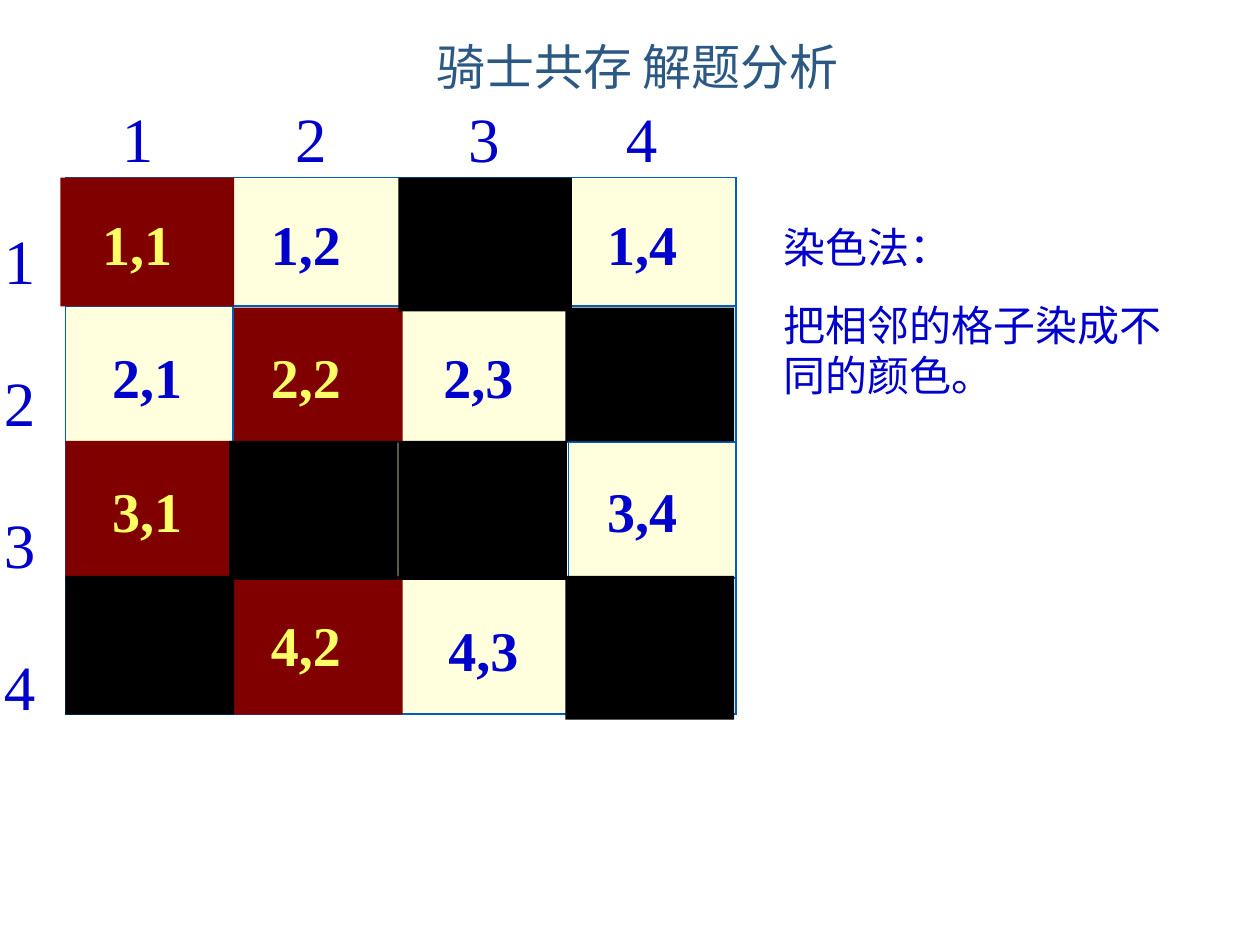
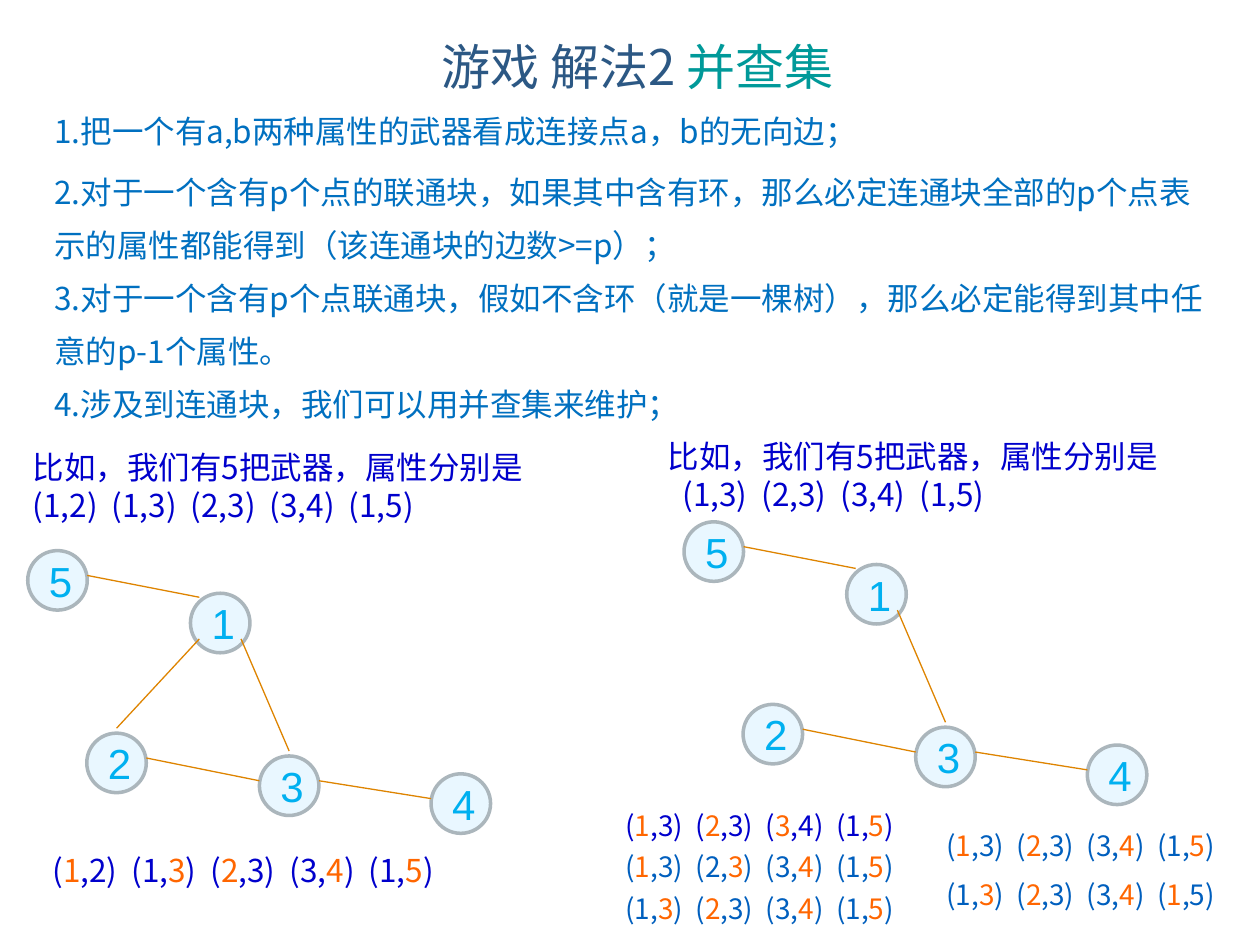
from pptx import Presentation
from pptx.dml.color import RGBColor
from pptx.enum.shapes import MSO_CONNECTOR, MSO_SHAPE
from pptx.enum.text import MSO_ANCHOR, MSO_AUTO_SIZE, PP_ALIGN
from pptx.oxml.ns import qn
from pptx.util import Cm, Pt
from lxml import etree

RECT, OVAL = MSO_SHAPE.RECTANGLE, MSO_SHAPE.OVAL
LINE = MSO_CONNECTOR.STRAIGHT
MIDDLE, TOP = MSO_ANCHOR.MIDDLE, MSO_ANCHOR.TOP
CENTER, LEFT = PP_ALIGN.CENTER, PP_ALIGN.LEFT
FIXED = MSO_AUTO_SIZE.NONE

HEX = {
    "title": "2C5884", "teal": "009999", "blue": "0000CC", "list": "0070C0",
    "navy": "005FBE", "orange": "FF6600", "yellow": "FFFF66",
    "cream": "FFFFDD", "red": "800000", "black": "000000",
    "node": "E9F7FF", "rim": "ABB6BC", "digit": "00B0F0", "edge": "DE8400",
}
SANS, SERIF = "Noto Sans CJK SC", "Times New Roman"

TITLE_BOX = (0.99, 0.25, 23.72, 2.16)

# Board: lengths are measured from its top left corner
COLS, ROWS = [3.38] * 4, [2.59, 2.74, 2.74, 2.74]
TILES = {
    "red": [(-0.1, 0, 3.5, 2.6), (3.4, 2.62, 3.4, 2.7),
            (0, 5.31, 3.4, 2.8), (3.4, 8.03, 3.4, 2.8)],
    "black": [(6.71, 0, 3.5, 2.7), (3.3, 5.31, 3.4, 2.8),
              (0, 8.03, 3.4, 2.8), (10.08, 8.03, 3.4, 2.9),
              (10.08, 2.62, 3.4, 2.7), (6.71, 5.31, 3.4, 2.8)],
}
LABELS = ["1,1", "1,2", "1,4", "2,1", "2,2", "2,3", "3,1", "3,4", "4,2", "4,3"]
LABEL_X = [0.69, 3.89, 7.37, 10.67]
NUDGE = {"1,1": (-0.2, 0), "4,3": (0.1, 0.1)}

STEPS = [
    "1.把一个有a,b两种属性的武器看成连接点a，b的无向边；",
    "2.对于一个含有p个点的联通块，如果其中含有环，那么必定连通块全部的p个点"
    "表示的属性都能得到（该连通块的边数>=p）；",
    "3.对于一个含有p个点联通块，假如不含环（就是一棵树），那么必定能得到其中"
    "任意的p-1个属性。",
    "4.涉及到连通块，我们可以用并查集来维护；",
]
CAPTION = "比如，我们有5把武器，属性分别是"

# Graph: node corners from the graph's top left corner
NODE = 1.2
NODES = {1: (3.28, 0.86), 2: (1.19, 3.68), 3: (4.67, 4.14),
         4: (8.13, 4.5), 5: (0, 0)}
SITES = {"top": (0.5, 0), "left": (0, 0.5), "right": (1, 0.5),
         "nw": (0.15, 0.15), "sw": (0.15, 0.85), "se": (0.85, 0.85)}
LIFT = 0.1
TREE = [(3, "top", 1, "se"), (1, "nw", 5, "right"),
        (3, "left", 2, "right"), (4, "left", 3, "right")]
RING = TREE + [(2, "top", 1, "sw")]


def rgb(name):
    return RGBColor.from_string(HEX[name])


def put(item, values):
    for key, value in values.items():
        setattr(item, key, value)


def place(shape, box):
    put(shape, dict(zip(("left", "top", "width", "height"), map(Cm, box))))


def write(para, text, color, size, font=SANS, bold=False):
    run = para.add_run()
    run.text = text
    put(run.font, {"size": Pt(size), "name": font, "bold": bold})
    run.font.color.rgb = rgb(color)
    east = etree.SubElement(run.font._element, qn("a:ea"))
    east.set("typeface", font)


def fill_text(frame, lines, look, gaps=(0,), pitch=None):
    """Write one paragraph a line; the last gap serves all later lines."""
    for i, line in enumerate(lines):
        para = frame.add_paragraph() if i else frame.paragraphs[0]
        put(para, {"space_before": Pt(gaps[min(i, len(gaps) - 1)]),
                   "line_spacing": pitch})
        write(para, line, **look)


def add_box(slide, box):
    shape = slide.shapes.add_textbox(*map(Cm, box))
    put(shape.text_frame, {"word_wrap": True, "auto_size": FIXED})
    return shape.text_frame


def set_tabs(para, stops):
    tabs = etree.SubElement(para._p.get_or_add_pPr(), qn("a:tabLst"))
    for stop in stops:
        etree.SubElement(tabs, qn("a:tab"), pos=str(Cm(stop)), algn="l")


def add_shape(slide, kind, box, fill, rim=None):
    shape = slide.shapes.add_shape(kind, *map(Cm, box))
    shape.shadow.inherit = False
    shape.fill.solid()
    shape.fill.fore_color.rgb = rgb(fill)
    if rim:
        shape.line.color.rgb = rgb(rim)
        shape.line.width = Pt(2)
    else:
        shape.line.fill.background()
    return shape


def add_title(slide, parts):
    title = slide.shapes.title
    place(title, TITLE_BOX)
    put(title.text_frame, {"vertical_anchor": MIDDLE, "auto_size": FIXED})
    para = title.text_frame.paragraphs[0]
    para.alignment = CENTER
    for text, color in parts:
        write(para, text, color, 28)


def add_grid(slide, x, y):
    frame = slide.shapes.add_table(
        4, 4, Cm(x), Cm(y), Cm(sum(COLS)), Cm(sum(ROWS)))
    table = frame.table
    put(table, {"first_row": False, "horz_banding": False})
    for col, width in zip(table.columns, COLS):
        col.width = Cm(width)
    for row, height in zip(table.rows, ROWS):
        row.height = Cm(height)
    for cell in table.iter_cells():
        props = cell._tc.get_or_add_tcPr()
        for side in ("lnL", "lnR", "lnT", "lnB"):
            edge = etree.SubElement(props, qn("a:" + side), w=str(Pt(1.08)))
            solid = etree.SubElement(edge, qn("a:solidFill"))
            etree.SubElement(solid, qn("a:srgbClr"), val=HEX["navy"])
        cell.fill.solid()
        cell.fill.fore_color.rgb = rgb("cream")


def add_board(slide, x, y):
    add_grid(slide, x, y)
    for color, tiles in TILES.items():
        for dx, dy, wide, high in tiles:
            add_shape(slide, RECT, (x + dx, y + dy, wide, high), color)
    for label in LABELS:
        row, col = map(int, label.split(","))
        dx, dy = NUDGE.get(label, (0, 0))
        frame = add_box(slide, (x + LABEL_X[col - 1] + dx,
                                y + 0.51 + 2.7 * (row - 1) + dy, 2.3, 1.63))
        color = "blue" if (row + col) % 2 else "yellow"
        write(frame.paragraphs[0], label, color, 32, SERIF, True)

    look = {"color": "blue", "size": 36, "font": SERIF}
    head = add_box(slide, (x + 0.89, y - 1.7, 11.71, 1.78))
    set_tabs(head.paragraphs[0], (3.49, 6.98, 10.16))
    fill_text(head, ["1\t2\t3\t4"], look)
    side = add_box(slide, (x - 1.32, y + 0.31, 1.42, 10.57))
    side.margin_left = Cm(0.08)
    fill_text(side, "1234", look, (0, 25), 1.3)


def add_steps(slide, box):
    body = slide.placeholders[1]
    place(body, box)
    frame = body.text_frame
    put(frame, {"vertical_anchor": TOP, "auto_size": FIXED})
    fill_text(frame, STEPS, {"color": "list", "size": 18},
              (0, 4.5, 0), Pt(30.3))
    for para in frame.paragraphs:
        para.alignment = LEFT
        props = para._p.get_or_add_pPr()
        props.set("marL", "0")
        props.set("indent", "0")
        etree.SubElement(props, qn("a:buNone"))


def add_pairs(slide, x, y, pairs, color="blue", size=16):
    """Set out number pairs on tab stops; a star marks an orange digit."""
    pitch = size * 0.0885
    count = len(pairs.split())
    frame = add_box(slide, (x, y, pitch * count + 0.6, 1))
    para = frame.paragraphs[0]
    para.line_spacing = Pt(size * 1.2)
    set_tabs(para, [pitch * i for i in range(1, count)])
    first, *rest = pairs.replace(" ", "\t").split("*")
    write(para, first, color, size)
    for part in rest:
        write(para, part[0], "orange", size)
        write(para, part[1:], color, size)


def add_graph(slide, x, y, edges):
    for name, (dx, dy) in NODES.items():
        node = add_shape(slide, OVAL, (x + dx, y + dy, NODE, NODE),
                         "node", "rim")
        node.text_frame.vertical_anchor = MIDDLE
        para = node.text_frame.paragraphs[0]
        para.alignment = CENTER
        write(para, str(name), "digit", 24, "Arial")

    def end(name, site):
        (dx, dy), (fx, fy) = NODES[name], SITES[site]
        return Cm(x + dx + fx * NODE), Cm(y + dy + fy * NODE - LIFT)

    for start, out, stop, into in edges:
        edge = slide.shapes.add_connector(
            LINE, *end(start, out), *end(stop, into))
        edge.line.color.rgb = rgb("edge")
        edge.line.width = Pt(0.75)
        etree.SubElement(edge._element.spPr, qn("a:effectLst"))


def add_case(slide, x, y, pairs, shift, edges, drop):
    """Place a caption, its weapon pairs and their graph."""
    frame = add_box(slide, (x, y, 11.5, 1))
    fill_text(frame, [CAPTION], {"color": "blue", "size": 18}, pitch=Pt(21.6))
    add_pairs(slide, x + shift, y + 0.76, pairs, size=18)
    add_graph(slide, x + drop[0], y + drop[1], edges)


def knight_slide(deck):
    slide = deck.slides.add_slide(deck.slide_layouts[5])
    add_title(slide, [("骑士共存 解题分析", "title")])
    add_board(slide, 1.32, 3.58)
    note = add_box(slide, (15.54, 4.35, 8.89, 3.84))
    fill_text(note, ["染色法：", "把相邻的格子染成不同的颜色。"],
              {"color": "blue", "size": 24}, (0, 16), Pt(28.6))


def game_slide(deck):
    slide = deck.slides.add_slide(deck.slide_layouts[1])
    add_title(slide, [("游戏 解法2 ", "title"), ("并查集", "teal")])
    add_steps(slide, (0.84, 1.82, 23.72, 7.39))
    add_case(slide, 0.41, 8.91, "(1,2) (1,3) (2,3) (3,4) (1,5)", 0,
             RING, (0.15, 2.19))
    add_case(slide, 13.21, 8.69, "(1,3) (2,3) (3,4) (1,5)", 0.3,
             TREE, (0.58, 1.83))
    add_pairs(slide, 0.81, 17.03, "(*1,2) (1,*3) (*2,3) (3,*4) (1,*5)", size=18)
    picks = [("blue", "(*1,3) (*2,3) (*3,4) (1,*5)"),
             ("navy", "(*1,3) (2,*3) (3,*4) (1,*5)"),
             ("navy", "(1,*3) (*2,3) (3,*4) (1,*5)")]
    for i, (color, pairs) in enumerate(picks):
        add_pairs(slide, 12.36, 16.17 + 0.84 * i, pairs, color)
    more = ["(*1,3) (*2,3) (3,*4) (1,*5)", "(1,*3) (*2,3) (3,*4) (*1,5)"]
    for i, pairs in enumerate(more):
        add_pairs(slide, 18.83, 16.58 + 0.98 * i, pairs, "navy")


def main():
    deck = Presentation()
    put(deck, {"slide_width": Cm(25.4), "slide_height": Cm(19.05)})
    knight_slide(deck)
    game_slide(deck)
    deck.save("out.pptx")


if __name__ == "__main__":
    main()
